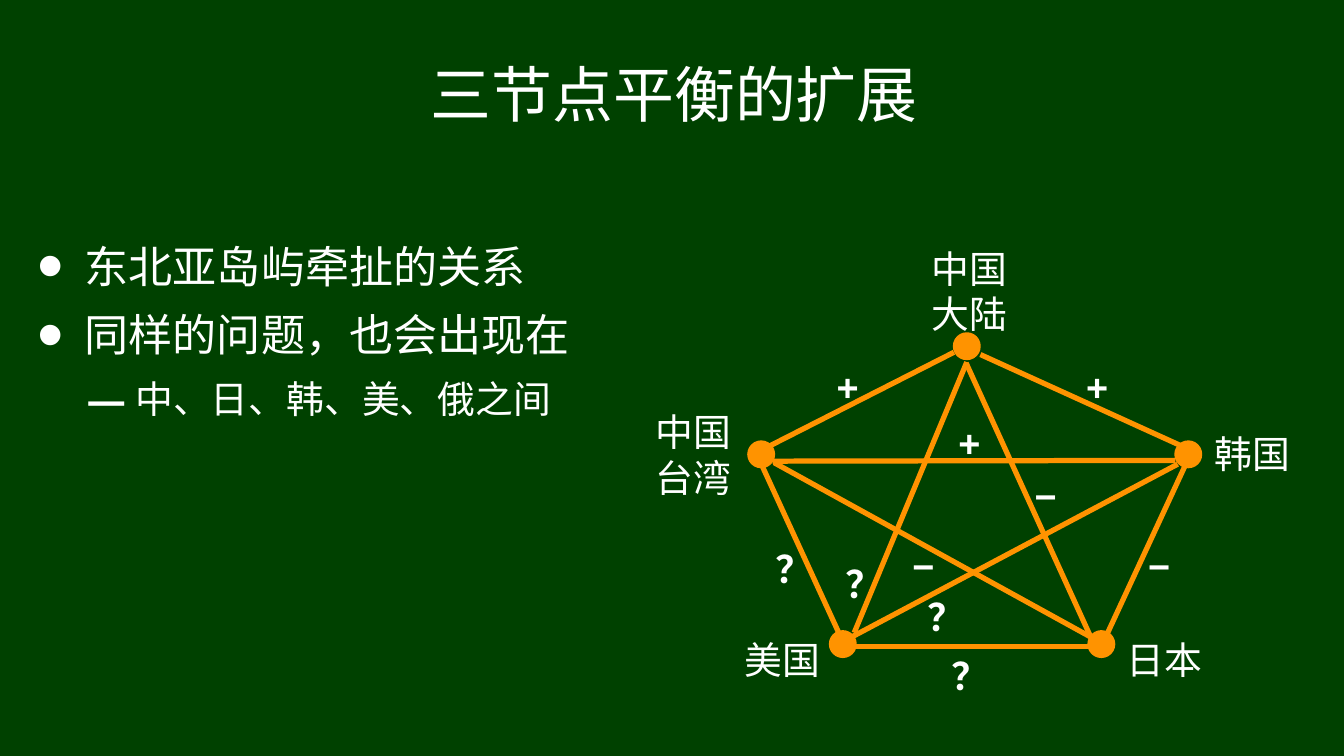
"""Build the slide on extending three-node balance."""
from lxml import etree
from pptx import Presentation, util as u
from pptx.dml.color import RGBColor
from pptx.enum import shapes, text
from pptx.oxml.ns import qn

TITLE = "三节点平衡的扩展"
POINTS = [
    ("东北亚岛屿牵扯的关系", 0),
    ("同样的问题，也会出现在", 0),
    ("中、日、韩、美、俄之间", 1),
]
NODES = [(12.64, 4.43), (9.92, 5.86), (15.57, 5.86), (11, 8.37), (14.42, 8.37)]
NAMES = [
    (["中国", "大陆"], 12.18, 3.19),
    (["中国", "台湾"], 8.52, 5.35),
    (["韩国"], 15.92, 5.64),
    (["日本"], 14.75, 8.36),
    (["美国"], 9.7, 8.36),
]
EDGES = [
    (10.16, 5.91, 12.62, 4.66), (12.97, 4.69, 15.61, 5.89),
    (15.78, 5.94, 14.64, 8.4), (9.99, 5.96, 11.11, 8.4),
    (11.29, 8.55, 14.43, 8.55), (10.22, 6.1, 15.55, 6.09),
    (12.79, 4.79, 11.3, 8.37), (12.78, 4.8, 14.44, 8.45),
    (11.26, 8.43, 15.58, 6.14), (10.24, 6.12, 14.49, 8.46),
]
SIGNS = {
    "+": [(10.92, 4.75), (14.22, 4.75), (12.53, 5.49)],
    "−": [(13.54, 6.19), (15.04, 7.12), (11.92, 7.12)],
    "？": [(11.04, 7.35), (12.12, 7.79), (10.11, 7.16), (12.44, 8.58)],
}
THEME = {
    "font": "Arial", "back": "004100", "ink": "FFFFFF", "mark": "FF9300",
    "title": 58, "body": [42, 36], "label": 36, "line": 5,
}
LEVELS = [("•", 0.79), ("–", 1.46)]
DOT, HANG, PAD = 0.3, 0.62, 0.06
CENTER = text.PP_ALIGN.CENTER


def color(key):
    return RGBColor.from_string(THEME[key])


def assign(obj, vals):
    for key, val in vals.items():
        setattr(obj, key, val)


def place(shape, *box):
    assign(shape, dict(zip(("left", "top", "width", "height"), map(u.Inches, box))))


def setup(frame, pad, wrap):
    assign(frame, {"word_wrap": wrap, "auto_size": text.MSO_AUTO_SIZE.NONE,
                   "vertical_anchor": text.MSO_ANCHOR.MIDDLE})
    assign(frame, {f"margin_{side}": u.Inches(pad)
                   for side in ("left", "top", "right", "bottom")})


def write(frame, rows, size, bold=False):
    for i, row in enumerate(rows):
        para = frame.add_paragraph() if i else frame.paragraphs[0]
        para.text = row
        style(para, size, bold)
        indent(para, PAD, 0)
        assign(para, {"alignment": CENTER, "space_before": u.Pt(0)})


def style(para, size, bold=False):
    for run in para.runs:
        assign(run.font, {"name": THEME["font"], "size": u.Pt(size), "bold": bold})
        run.font.color.rgb = color("ink")


def indent(para, left, first):
    props = para._p.get_or_add_pPr()
    props.set("marL", str(u.Inches(left)))
    props.set("indent", str(u.Inches(first)))
    return props


def bullets(frame):
    for i, (row, level) in enumerate(POINTS):
        para = frame.add_paragraph() if i else frame.paragraphs[0]
        para.text = row
        char, left = LEVELS[level]
        props = indent(para, left, -HANG)
        etree.SubElement(props, qn("a:buSzPct"), val="171000")
        etree.SubElement(props, qn("a:buFont"), typeface=THEME["font"])
        etree.SubElement(props, qn("a:buChar"), char=char)
        assign(para, {"level": level, "line_spacing": 1.1,
                      "space_before": u.Pt(10 if i else 0)})
        style(para, THEME["body"][level])


def label(slide, rows, left, top, width, bold=False):
    height = 0.12 + 0.6 * len(rows)
    box = slide.shapes.add_textbox(*map(u.Inches, (left, top, width, height)))
    setup(box.text_frame, PAD, False)
    write(box.text_frame, rows, THEME["label"], bold)


def stroke(shape):
    shape.line.color.rgb = color("mark")
    shape.line.width = u.Pt(THEME["line"])


def graph(slide):
    for left, top in NODES:
        dot = slide.shapes.add_shape(
            shapes.MSO_SHAPE.OVAL, *map(u.Inches, (left, top, DOT, DOT)))
        dot.shadow.inherit = False
        dot.fill.solid()
        dot.fill.fore_color.rgb = color("mark")
        stroke(dot)
    for rows, left, top in NAMES:
        label(slide, rows, left, top, 1.24)
    for ends in EDGES:
        edge = slide.shapes.add_connector(
            shapes.MSO_CONNECTOR.STRAIGHT, *map(u.Inches, ends))
        stroke(edge)
        etree.SubElement(edge._element.spPr, qn("a:effectLst"))
    for sign, spots in SIGNS.items():
        for left, top in spots:
            label(slide, [sign], left, top, 0.74 if sign == "？" else 0.53, True)


def main():
    deck = Presentation()
    assign(deck, {"slide_width": u.Inches(17.78), "slide_height": u.Inches(10)})
    slide = deck.slides.add_slide(deck.slide_layouts[1])
    slide.background.fill.solid()
    slide.background.fill.fore_color.rgb = color("back")
    head, body = slide.placeholders
    place(head, 0.89, 0.13, 16, 2.2)
    place(body, 0.33, 2.71, 7.74, 3.24)
    for shape in (head, body):
        setup(shape.text_frame, 0, True)
    write(head.text_frame, [TITLE], THEME["title"])
    bullets(body.text_frame)
    graph(slide)
    deck.save("out.pptx")


if __name__ == "__main__":
    main()
